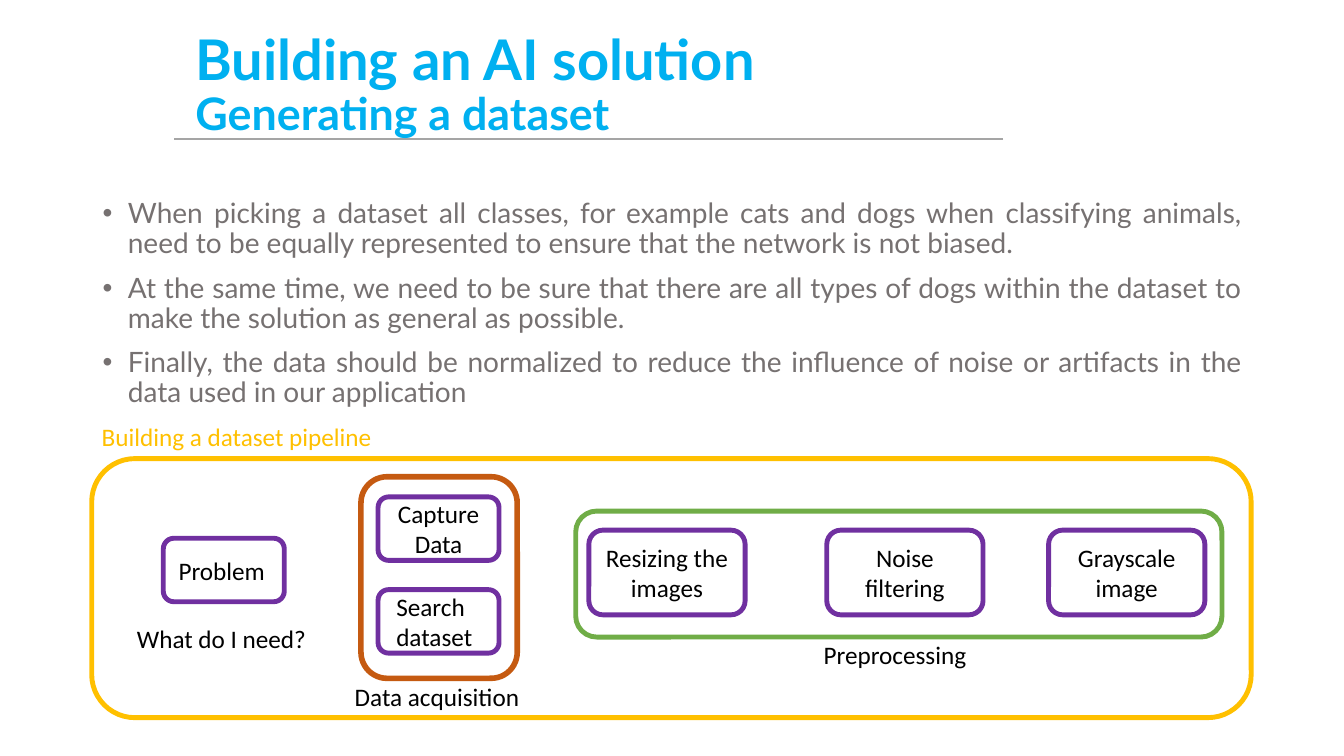
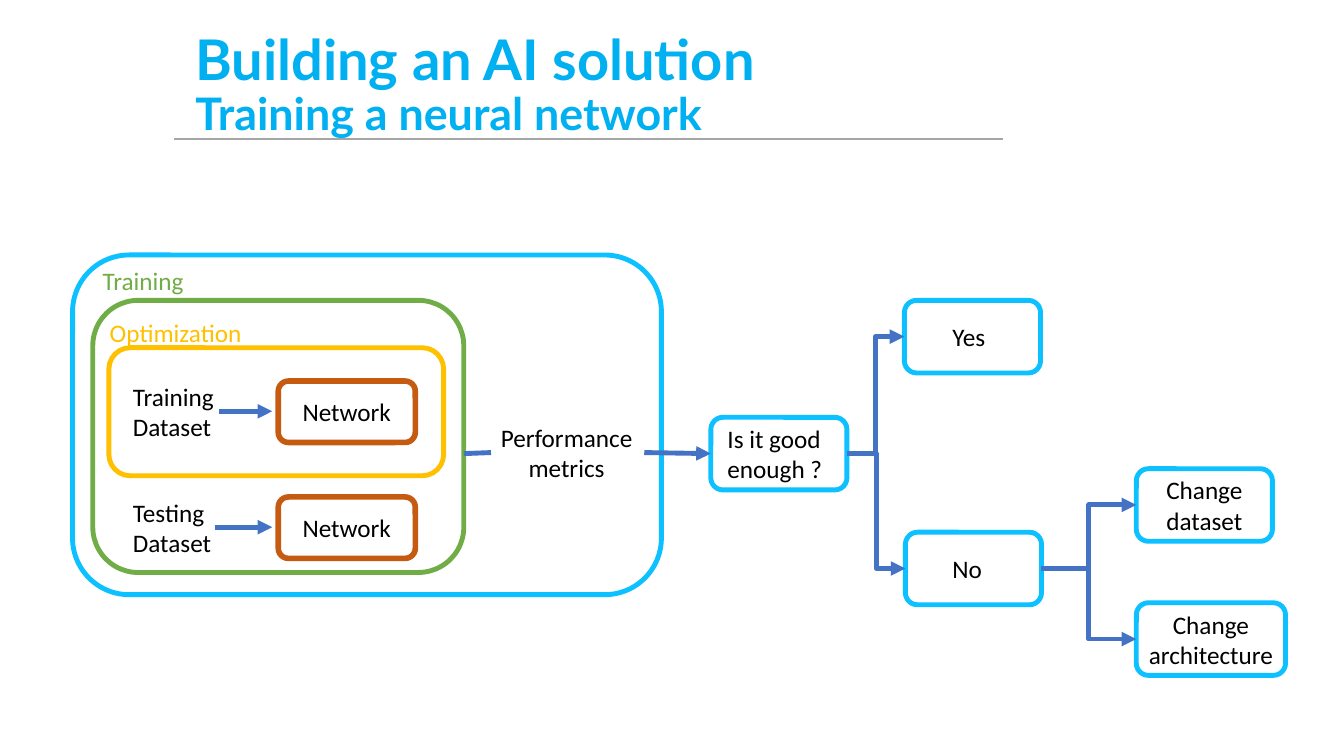
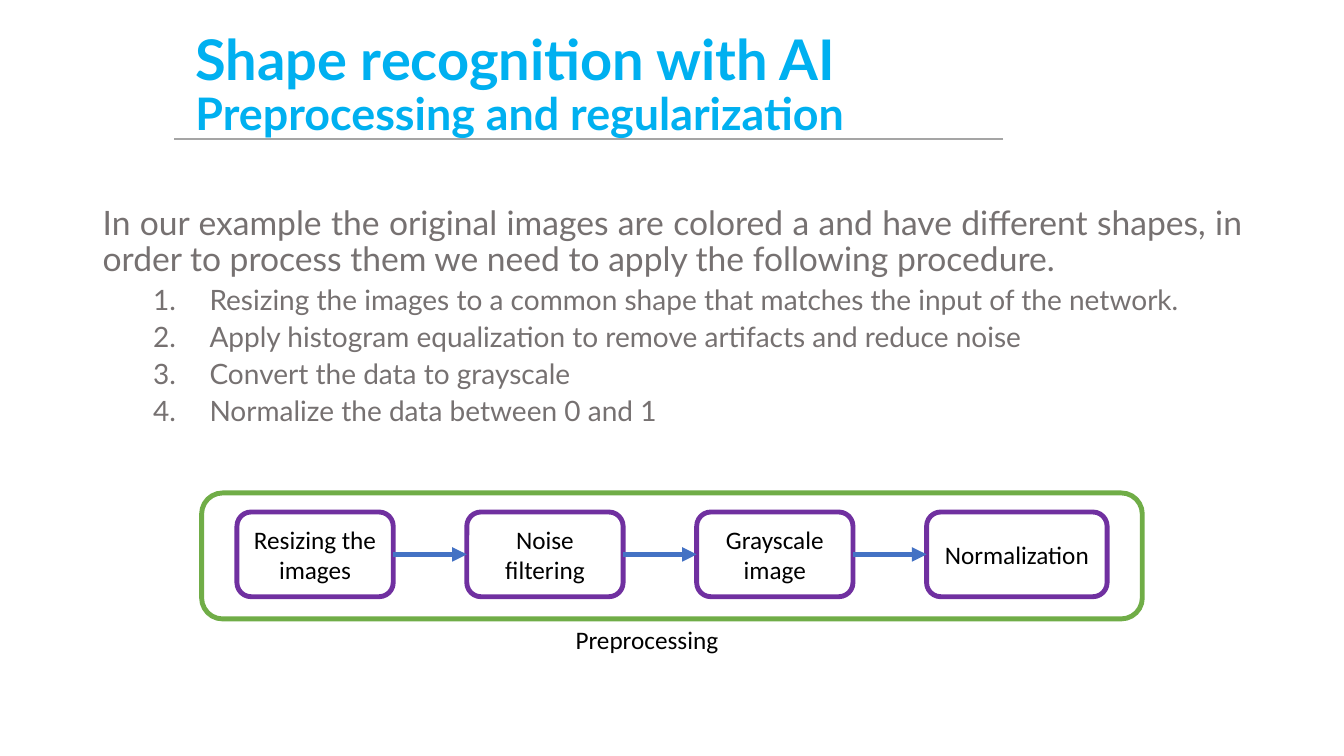
import dataclasses

import lxml.etree
import pptx
import pptx.dml.color
import pptx.enum.shapes
import pptx.enum.text
import pptx.oxml.ns
import pptx.util

Inches = pptx.util.Inches
Pt = pptx.util.Pt
ALIGN = pptx.enum.text.PP_ALIGN
ANCHOR = pptx.enum.text.MSO_ANCHOR
CONNECTOR = pptx.enum.shapes.MSO_CONNECTOR
ROUNDED = pptx.enum.shapes.MSO_SHAPE.ROUNDED_RECTANGLE
LEFT_SITE, RIGHT_SITE = 1, 3


@dataclasses.dataclass(frozen=True)
class Theme:
    """Colours, fonts and sizes shared by the slides."""

    heading_font: str = "Lato"
    diagram_font: str = "Calibri"
    bullet_font: str = "Arial"
    title: str = "00B0F0"
    body: str = "767171"
    rule: str = "A5A5A5"
    ink: str = "000000"
    purple: str = "7030A0"
    orange: str = "C55A11"
    green: str = "70AD47"
    yellow: str = "FFC000"
    cyan: str = "0DC0FF"
    arrow: str = "4472C4"
    title_size: int = 40
    subtitle_size: int = 32
    lead_size: int = 24
    body_size: int = 20
    diagram_size: int = 18
    rule_width: float = 1.5
    outline: float = 3.5
    heavy_outline: float = 4


THEME = Theme()


def rgb(value):
    """Return a colour from its hex text."""
    return pptx.dml.color.RGBColor.from_string(value)


def apply(target, values):
    """Set each named format value on the target."""
    for name, value in values.items():
        setattr(target, name, value)


def set_font(font, name, size, color, bold=False):
    """Format a font."""
    apply(font, {"name": name, "size": Pt(size), "bold": bold})
    font.color.rgb = rgb(color)


def add_child(parent, tag, **attributes):
    """Append a drawing element to an XML parent."""
    return lxml.etree.SubElement(parent, pptx.oxml.ns.qn(tag), attributes)


def add_box(s, left, top, width, height):
    """Add a wrapping text box and return its frame."""
    tf = s.shapes.add_textbox(*map(Inches, (left, top, width, height))).text_frame
    tf.word_wrap = True
    return tf


def write_lines(tf, text, color, align):
    """Write diagram text, one paragraph to a line."""
    for i, line in enumerate(text.split("\n")):
        p = tf.add_paragraph() if i else tf.paragraphs[0]
        p.text = line
        p.alignment = align
        set_font(p.font, THEME.diagram_font, THEME.diagram_size, color)


def add_label(s, text, left, top, width, height=0.4, color=THEME.ink, align=ALIGN.LEFT):
    """Add free diagram text."""
    write_lines(add_box(s, left, top, width, height), text, color, align)


def add_frame(s, color, left, top, width, height, weight=THEME.outline):
    """Add an unfilled rounded outline."""
    sp = s.shapes.add_shape(ROUNDED, *map(Inches, (left, top, width, height)))
    sp.shadow.inherit = False
    sp.fill.background()
    sp.line.color.rgb = rgb(color)
    sp.line.width = Pt(weight)
    return sp


def add_node(s, text, color, left, top, width, height,
             align=ALIGN.CENTER, inset=0.05, weight=THEME.outline):
    """Add a rounded outline that holds text."""
    sp = add_frame(s, color, left, top, width, height, weight)
    right = 0.05 if align == ALIGN.LEFT else inset
    apply(sp.text_frame, {
        "word_wrap": True, "vertical_anchor": ANCHOR.MIDDLE,
        "margin_left": Inches(inset), "margin_right": Inches(right),
        "margin_top": 0, "margin_bottom": 0})
    write_lines(sp.text_frame, text, THEME.ink, align)
    return sp


def add_step(s, text, left, top, width=1.55):
    """Add a preprocessing step."""
    return add_node(s, text, THEME.purple, left, top, width, 0.84, inset=0.1)


def add_line(s, start, end, color=THEME.arrow, weight=THEME.outline,
             head=True, kind=CONNECTOR.STRAIGHT):
    """Add a line or an arrow between two points."""
    sp = s.shapes.add_connector(kind, *map(Inches, (*start, *end)))
    sp.line.color.rgb = rgb(color)
    sp.line.width = Pt(weight)
    if head:
        add_child(sp.line._get_or_add_ln(), "a:tailEnd", type="triangle")
    add_child(sp._element.spPr, "a:effectLst")
    return sp


def link(s, source, target, kind=CONNECTOR.STRAIGHT):
    """Join the right of one node to the left of another."""
    sp = add_line(s, (0, 0), (1, 1), kind=kind)
    sp.begin_connect(source, RIGHT_SITE)
    sp.end_connect(target, LEFT_SITE)


def add_body(s, items, top, height):
    """Add justified paragraphs that may be bulleted or numbered."""
    tf = add_box(s, 0.92, top, 11.5, height)
    styles = {
        "lead": (0, 0, 0, {}, THEME.lead_size, 10),
        "bullet": (0, 0.25, -0.25, {"a:buFont": {"typeface": THEME.bullet_font},
                                    "a:buChar": {"char": "•"}}, THEME.body_size, 10),
        "number": (1, 1.06, -0.56, {"a:buAutoNum": {"type": "arabicPeriod"}},
                   THEME.body_size, 5),
    }
    for i, (style, text) in enumerate(items):
        level, margin, indent, marks, size, before = styles[style]
        p = tf.add_paragraph() if i else tf.paragraphs[0]
        p.text = text
        pPr = p._p.get_or_add_pPr()
        pPr.set("marL", str(Inches(margin)))
        pPr.set("indent", str(Inches(indent)))
        for tag, attributes in marks.items():
            add_child(pPr, tag, **attributes)
        apply(p, {"level": level, "alignment": ALIGN.JUSTIFY, "line_spacing": 0.9,
                  "space_before": Pt(before if i else 0)})
        set_font(p.font, THEME.heading_font, size, THEME.body)


def new_slide(prs, title, subtitle):
    """Add a slide with its two-line title and rule."""
    s = prs.slides.add_slide(prs.slide_layouts[6])
    add_line(s, (9.95, 1.38), (1.73, 1.38), THEME.rule, THEME.rule_width, head=False)
    tf = add_box(s, 1.84, 0.13, 8.92, 1.45)
    tf.vertical_anchor = ANCHOR.MIDDLE
    p = tf.paragraphs[0]
    p.line_spacing = 0.9
    for text, size in ((title, THEME.title_size), (subtitle, THEME.subtitle_size)):
        if p.runs:
            p.add_line_break()
        r = p.add_run()
        r.text = text
        set_font(r.font, THEME.heading_font, size, THEME.title, bold=True)
    return s


def dataset_slide(prs):
    """Build the dataset pipeline slide."""
    s = new_slide(prs, "Building an AI solution", "Generating a dataset")
    add_body(s, [
        ("bullet", "When picking a dataset all classes, for example cats and dogs when "
                   "classifying animals, need to be equally represented to ensure that "
                   "the network is not biased."),
        ("bullet", "At the same time, we need to be sure that there are all types of dogs "
                   "within the dataset to make the solution as general as possible."),
        ("bullet", "Finally, the data should be normalized to reduce the influence of "
                   "noise or artifacts in the data used in our application"),
    ], 1.93, 2.77)
    add_frame(s, THEME.yellow, 0.91, 4.55, 11.5, 2.57)
    add_frame(s, THEME.orange, 3.58, 4.73, 1.55, 2, THEME.heavy_outline)
    add_frame(s, THEME.green, 5.71, 5.07, 6.41, 1.25)
    for text, left, top, align, inset in (
            ("Problem", 1.62, 5.34, ALIGN.LEFT, 0.12),
            ("Capture Data", 3.75, 4.93, ALIGN.CENTER, 0.05),
            ("Search\ndataset", 3.75, 5.85, ALIGN.LEFT, 0.15)):
        add_node(s, text, THEME.purple, left, top, 1.2, 0.63, align, inset)
    for text, left in (("Resizing the images", 5.84), ("Noise filtering", 8.2),
                       ("Grayscale image", 10.4)):
        add_step(s, text, left, 5.26)
    add_label(s, "What do I need?", 1.26, 6.13, 1.94)
    add_label(s, "Data acquisition", 3.42, 6.71, 1.94)
    add_label(s, "Preprocessing", 8.07, 6.29, 1.81)
    add_label(s, "Building a dataset pipeline", 0.91, 4.13, 2.92, color=THEME.yellow)


def training_slide(prs):
    """Build the training loop slide."""
    s = new_slide(prs, "Building an AI solution", "Training a neural network")
    add_frame(s, THEME.cyan, 0.72, 2.53, 5.84, 3.37)
    add_frame(s, THEME.green, 0.92, 2.98, 3.68, 2.7)
    add_frame(s, THEME.yellow, 1.08, 3.45, 3.32, 1.27)
    add_label(s, "Training", 0.92, 2.58, 1.1, color=THEME.green)
    add_label(s, "Optimization", 0.99, 3.1, 1.57, color=THEME.yellow)
    for text, top, start in (("Training\nDataset", 3.73, 2.17),
                             ("Testing\nDataset", 4.88, 2.13)):
        add_label(s, text, 1.22, top, 1.1, 0.71)
        add_node(s, "Network", THEME.orange, 2.76, top + 0.05, 1.36, 0.61,
                 weight=THEME.heavy_outline)
        add_line(s, (start, top + 0.35), (2.7, top + 0.35))
    add_label(s, "Performance\nmetrics", 4.82, 4.14, 1.6, 0.71, align=ALIGN.CENTER)
    question, yes, no, dataset, architecture = [
        add_node(s, text, THEME.cyan, left, top, width, 0.72, align, inset)
        for text, left, top, width, align, inset in (
            ("Is it good\nenough ?", 7.05, 4.14, 1.35, ALIGN.LEFT, 0.13),
            ("Yes", 8.97, 2.98, 1.35, ALIGN.LEFT, 0.44),
            ("No", 8.98, 5.28, 1.35, ALIGN.LEFT, 0.43),
            ("Change dataset", 11.27, 4.65, 1.35, ALIGN.CENTER, 0.05),
            ("Change architecture", 11.27, 5.98, 1.48, ALIGN.CENTER, 0.05))]
    add_line(s, (4.6, 4.5), (4.87, 4.49), head=False)
    add_line(s, (6.39, 4.49), (7.05, 4.5))
    for source, target in ((question, yes), (question, no),
                           (no, dataset), (no, architecture)):
        link(s, source, target, CONNECTOR.ELBOW)


def preprocessing_slide(prs):
    """Build the preprocessing slide."""
    s = new_slide(prs, "Shape recognition with AI", "Preprocessing and regularization")
    add_body(s, [
        ("lead", "In our example the original images are colored a and have different "
                 "shapes, in order to process them we need to apply the following "
                 "procedure."),
        ("number", "Resizing the images to a common shape that matches the input of the "
                   "network."),
        ("number", "Apply histogram equalization to remove artifacts and reduce noise"),
        ("number", "Convert the data to grayscale"),
        ("number", "Normalize the data between 0 and 1"),
    ], 2, 2.51)
    add_frame(s, THEME.green, 2, 4.89, 9.33, 1.25)
    steps = [add_step(s, text, 2.35 + 2.28 * i, 5.08, width)
             for i, (text, width) in enumerate((
                 ("Resizing the images", 1.55), ("Noise filtering", 1.55),
                 ("Grayscale image", 1.55), ("Normalization", 1.79)))]
    for source, target in zip(steps, steps[1:]):
        link(s, source, target)
    add_label(s, "Preprocessing", 5.61, 6.14, 1.81)


def main():
    """Build and save the presentation."""
    prs = pptx.Presentation()
    apply(prs, {"slide_width": Inches(13.33), "slide_height": Inches(7.5)})
    for build in (dataset_slide, training_slide, preprocessing_slide):
        build(prs)
    prs.save("out.pptx")


if __name__ == "__main__":
    main()
